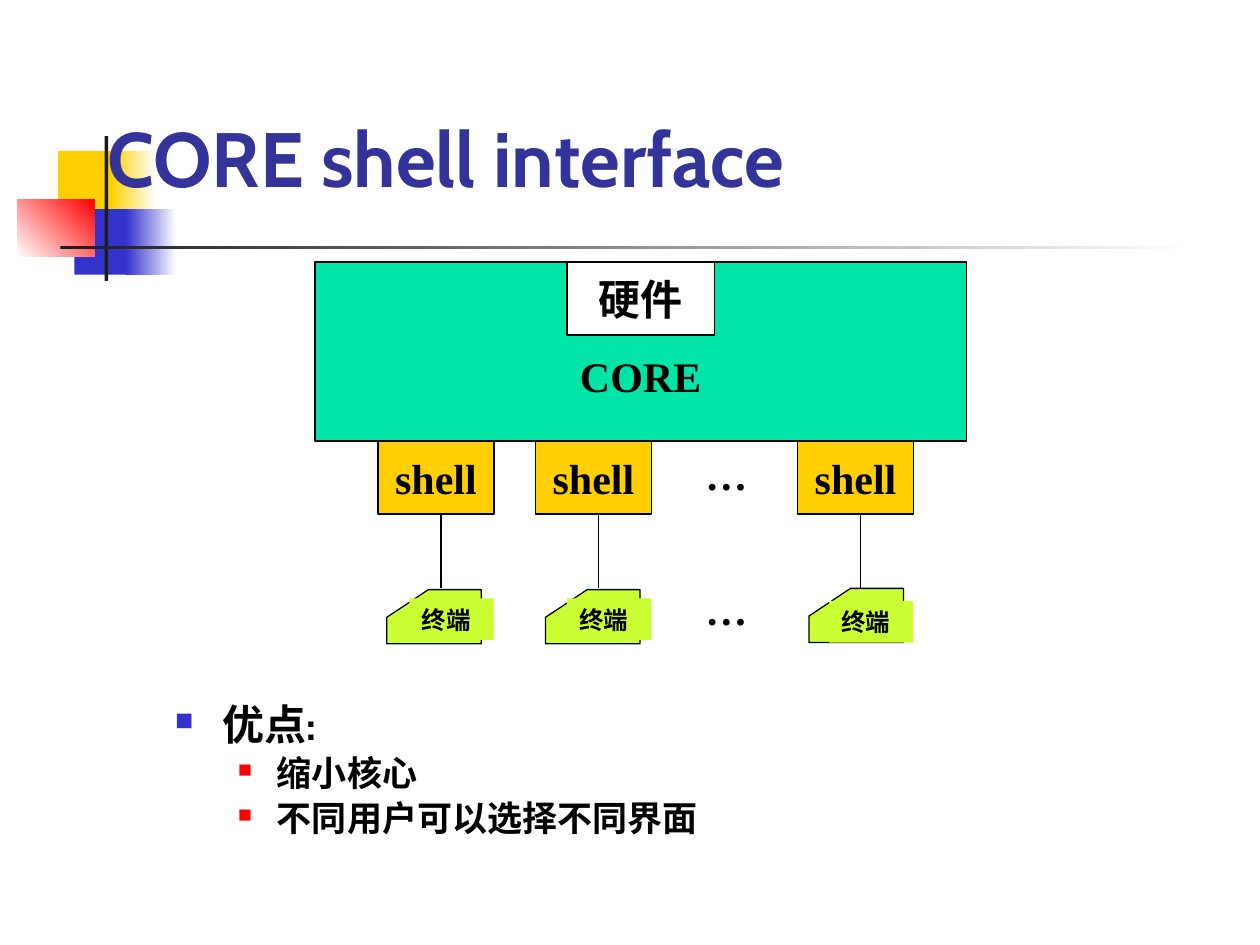
from lxml import etree
from pptx import Presentation
from pptx.dml.color import RGBColor
from pptx.enum.shapes import MSO_CONNECTOR, MSO_SHAPE
from pptx.enum.text import MSO_ANCHOR, PP_ALIGN
from pptx.oxml.ns import qn
from pptx.util import Inches, Pt

BLACK, WHITE, YELLOW, BLUE = "000000", "FFFFFF", "FFCF01", "3333CC"
RED, DARK, GREEN, LIME = "FF0000", "1C1C1C", "00E4A8", "CCFF33"
SERIF, SANS = "Times New Roman", "Cabin"


def rgb(value):
    return RGBColor.from_string(value)


def set_font(font, name, size, color=BLACK):
    formats = {"name": name, "size": Pt(size), "bold": True}
    for key, value in formats.items():
        setattr(font, key, value)
    font.color.rgb = rgb(color)


def paint(sp, fill, line=None, angle=0):
    """Fill with one colour, or with a gradient if given a pair."""
    sp.shadow.inherit = False
    if isinstance(fill, tuple):
        sp.fill.gradient()
        sp.fill.gradient_angle = angle
        for stop, color in zip(sp.fill.gradient_stops, fill):
            stop.color.rgb = rgb(color)
    else:
        sp.fill.solid()
        sp.fill.fore_color.rgb = rgb(fill)
    if line:
        sp.line.color.rgb = rgb(line)
        sp.line.width = Pt(0.75)
    else:
        sp.line.fill.background()


def add_box(s, box, fill, line=None, angle=0):
    sp = s.shapes.add_shape(MSO_SHAPE.RECTANGLE, *map(Inches, box))
    paint(sp, fill, line, angle)
    return sp


def add_label(sp, text, size=24, align=PP_ALIGN.CENTER,
              anchor=MSO_ANCHOR.MIDDLE, wrap=False):
    tf = sp.text_frame
    tf.word_wrap = wrap
    tf.vertical_anchor = anchor
    p = tf.paragraphs[0]
    p.alignment = align
    r = p.add_run()
    r.text = text
    set_font(r.font, SERIF, size)


def add_note(s, box, text, fill, size):
    """Borderless block with its text at the top left."""
    add_label(add_box(s, box, fill), text, size,
              PP_ALIGN.LEFT, MSO_ANCHOR.TOP, wrap=True)


def add_motif(s, left, top):
    """Overlapping squares and rules beside the title."""
    parts = [
        ((0.32, 0.12, 0.48, 0.52), YELLOW, 0),
        ((0.74, 0.12, 0.36, 0.52), (YELLOW, WHITE), 0),
        ((0.45, 0.58, 0.46, 0.52), BLUE, 0),
        ((0.86, 0.58, 0.4, 0.52), (BLUE, WHITE), 0),
        ((0, 0.5, 0.61, 0.46), (WHITE, RED), 45),
        ((0.69, 0, 0.03, 1.15), DARK, 0),
        ((0.34, 0.87, 9, 0.03), (DARK, WHITE), 0),
    ]
    for (x, y, w, h), fill, angle in parts:
        add_box(s, (left + x, top + y, w, h), fill, angle=angle)


def add_title(s, box, text):
    title = s.shapes.title
    s.shapes.element.append(title.element)  # in front of the motif
    for key, value in zip(("left", "top", "width", "height"), box):
        setattr(title, key, Inches(value))
    tf = title.text_frame
    tf.text = text
    tf.vertical_anchor = MSO_ANCHOR.BOTTOM
    p = tf.paragraphs[0]
    p.alignment = PP_ALIGN.LEFT
    set_font(p.runs[0].font, SANS, 44, "333399")


def add_kernel(s, left, top, width, height):
    """Kernel block with the hardware set into its top edge."""
    kernel = add_box(s, (left, top, width, height), GREEN, BLACK)
    add_label(kernel, "CORE")
    kernel.text_frame.margin_top = Inches(0.43)
    hardware = (left + (width - 1.17) / 2, top, 1.17, 0.58)
    add_label(add_box(s, hardware, WHITE, BLACK), "硬件")


def add_terminal(s, left, top):
    """Cut-corner outline with an overlapping name block."""
    points = [(0.33, 0), (0.75, 0), (0.75, 0.43), (0, 0.43), (0, 0.22)]
    corners = [(Inches(left + x), Inches(top + y)) for x, y in points]
    builder = s.shapes.build_freeform(*corners[0])
    builder.add_line_segments(corners[1:], close=True)
    paint(builder.convert_to_shape(), LIME, BLACK)


def add_link(s, x, top, bottom):
    line = s.shapes.add_connector(MSO_CONNECTOR.STRAIGHT, Inches(x),
                                  Inches(top), Inches(x), Inches(bottom))
    line.line.color.rgb = rgb(BLACK)
    line.line.width = Pt(0.75)
    etree.SubElement(line.element.spPr, qn("a:effectLst"))


def add_shell_column(s, left, top, terminal_left, terminal_top, name_top):
    """Shell box linked down to its terminal."""
    add_label(add_box(s, (left, top, 0.92, 0.58), YELLOW, BLACK), "shell")
    add_terminal(s, terminal_left, terminal_top)
    add_link(s, left + 0.5, top + 0.58, 4.67)
    add_note(s, (left + 0.25, name_top, 0.67, 0.33), "终端", LIME, 14)


def add_bullet(p, color, percent, left, hanging):
    pPr = p._p.get_or_add_pPr()
    pPr.set("marL", str(Inches(left)))
    pPr.set("indent", str(-Inches(hanging)))
    bu_color = etree.SubElement(pPr, qn("a:buClr"))
    etree.SubElement(bu_color, qn("a:srgbClr"), val=color)
    etree.SubElement(pPr, qn("a:buSzPct"), val=str(percent * 1000))
    etree.SubElement(pPr, qn("a:buChar"), char="■")


def add_advantages(s, box):
    tf = s.shapes.add_textbox(*map(Inches, box)).text_frame
    tf.word_wrap = True
    items = [("优点:", 0), ("缩小核心", 1), ("不同用户可以选择不同界面", 1)]
    levels = [(24, BLUE, 60, 0.38, 0.38), (20, RED, 55, 0.81, 0.31)]
    for i, (text, level) in enumerate(items):
        size, *bullet = levels[level]
        p = tf.add_paragraph() if i else tf.paragraphs[0]
        add_bullet(p, *bullet)
        p.level = level
        p.line_spacing = 0.9
        if i:
            p.space_before = Pt(size * 0.2)
        r = p.add_run()
        r.text = text
        set_font(r.font, SANS, size)


def main():
    prs = Presentation()
    prs.slide_width, prs.slide_height = Inches(10), Inches(7.5)
    s = prs.slides.add_slide(prs.slide_layouts[5])
    add_motif(s, 0.14, 1.08)
    add_title(s, (0.75, 0.58, 8.5, 1.08), "CORE shell interface")
    add_advantages(s, (1.29, 5.54, 8.5, 1.08))
    add_kernel(s, 2.5, 2.08, 5.17, 1.42)
    # Gaps in the rows of shells and terminals
    for top in (3.51, 4.58):
        add_note(s, (5.5, top, 0.6, 0.5), "…", WHITE, 24)
    columns = [(3, 3.07, 4.68, 4.75), (4.25, 4.33, 4.68, 4.75),
               (6.33, 6.42, 4.67, 4.77)]
    for left, terminal_left, terminal_top, name_top in columns:
        add_shell_column(s, left, 3.5, terminal_left, terminal_top, name_top)
    prs.save("out.pptx")


if __name__ == "__main__":
    main()
